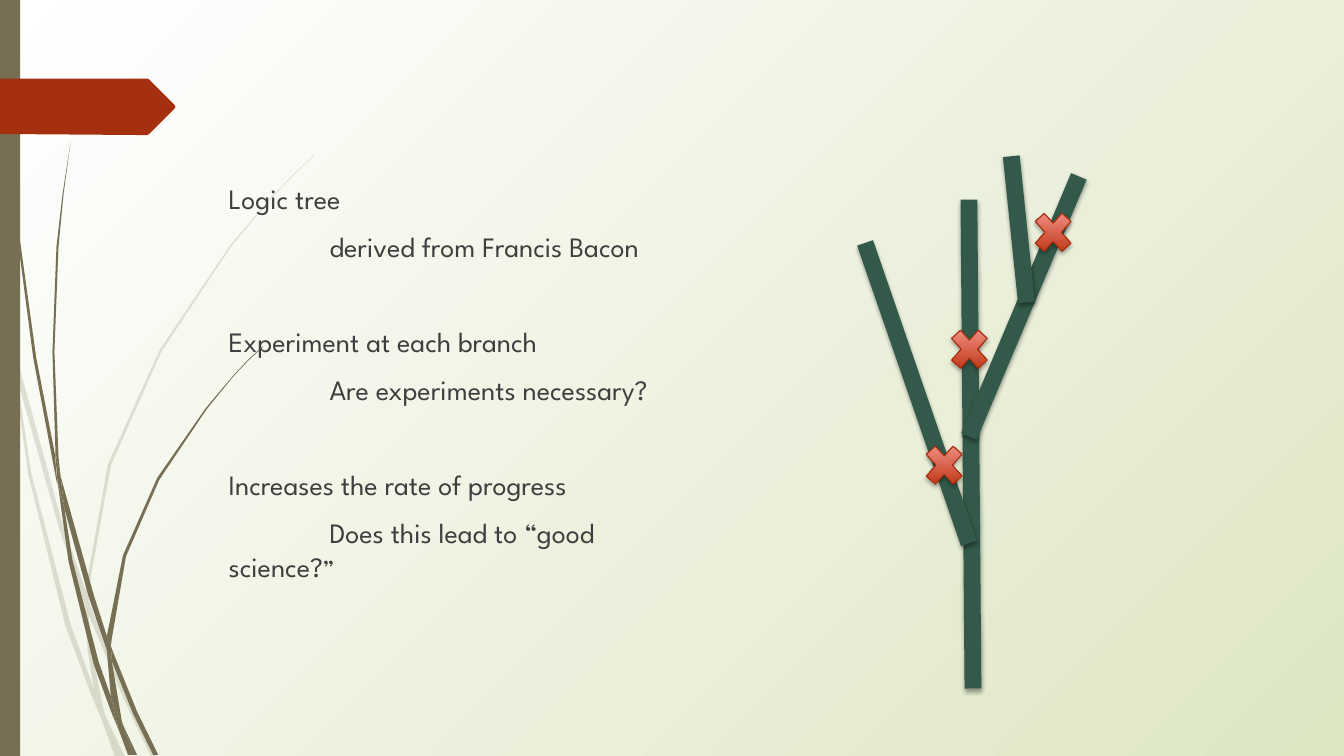
from pptx import Presentation
from pptx.dml.color import RGBColor
from pptx.enum.shapes import MSO_CONNECTOR, MSO_SHAPE
from pptx.oxml import parse_xml
from pptx.oxml.ns import nsdecls, qn
from pptx.util import Inches, Pt

PALE_WISPS = [
    [(0.11, 3.5), (0.09, 3.22), (0, 2.82), (0, 2.99), (0.1, 3.44)],
    [(0.58, 5.22), (0.84, 5.99), (0.85, 5.86), (0.62, 5.2), (0.14, 3.45), (0.17, 3.76)],
    [(0.92, 6.07), (0.88, 5.96), (0.88, 6.1), (1.23, 6.94), (1.5, 7.51), (1.55, 7.51),
     (1.27, 6.92)],
    [(1.19, 7.51), (1.24, 7.51), (1.05, 7.11)],
    [(0.93, 6.83), (0.7, 6.19), (0.31, 4.69), (0.17, 3.76), (0.11, 3.5), (0.28, 4.7),
     (0.65, 6.21), (0.92, 6.93), (1.01, 7.14), (0.99, 7.07)],
    [(0.84, 5.99), (0.87, 6.46), (0.93, 6.83), (0.96, 6.92), (1.05, 7.11), (1.03, 7.06),
     (0.91, 6.46), (0.88, 6.1), (0.88, 6.08)],
    [(0.88, 5.84), (1.1, 4.62), (1.6, 3.49), (2.29, 2.45), (2.68, 1.98), (2.9, 1.75),
     (3.12, 1.54), (3.12, 1.53), (2.89, 1.75), (2.68, 1.97), (2.28, 2.44), (1.58, 3.48),
     (1.07, 4.61), (0.85, 5.84), (0.85, 5.86), (0.88, 5.96)],
    [(1.01, 7.14), (1.14, 7.51), (1.19, 7.51)],
    [(0.88, 6.08), (0.88, 6.1), (0.88, 5.96), (0.85, 5.86), (0.84, 5.99)],
    [(0.96, 6.92), (0.93, 6.83), (0.99, 7.07), (1.01, 7.14), (1.19, 7.51), (1.05, 7.11)],
]
DARK_WISPS = [
    [(0.07, 1.1), (0.17, 2.33), (0.33, 3.55), (0.56, 4.77), (0.57, 4.81), (0.55, 4.57),
     (0.55, 4.53), (0.36, 3.55), (0.19, 2.32), (0.08, 1.09), (0.05, 0.48), (0.04, 0),
     (0.03, 0), (0.04, 0.48)],
    [(0.88, 5.92), (1.06, 6.45), (1.06, 6.31), (0.93, 5.9), (0.6, 4.72), (0.64, 5.05)],
    [(1.13, 6.49), (1.1, 6.41), (1.11, 6.56), (1.32, 7.08), (1.52, 7.49), (1.57, 7.49),
     (1.36, 7.06)],
    [(1.1, 6.91), (0.98, 6.57), (0.72, 5.56), (0.64, 5.05), (0.57, 4.77), (0.68, 5.57),
     (0.93, 6.59), (1.11, 7.08), (1.17, 7.22), (1.16, 7.17)],
    [(0.6, 4.72), (0.58, 4.53), (0.54, 3.49), (0.58, 2.45), (0.63, 1.93), (0.7, 1.41),
     (0.62, 1.93), (0.56, 2.45), (0.52, 3.49), (0.55, 4.49)],
    [(1.33, 7.49), (1.36, 7.49), (1.22, 7.19)],
    [(0.57, 4.77), (0.64, 5.05), (0.6, 4.72), (0.55, 4.49), (0.55, 4.53)],
    [(1.11, 6.33), (1.25, 5.52), (1.58, 4.76), (2.05, 4.06), (2.31, 3.74), (2.45, 3.59),
     (2.61, 3.44), (2.6, 3.44), (2.45, 3.58), (2.31, 3.73), (2.04, 4.05), (1.56, 4.74),
     (1.22, 5.51), (1.06, 6.31), (1.1, 6.41)],
    [(1.17, 7.22), (1.27, 7.49), (1.31, 7.49)],
    [(1.06, 6.45), (1.1, 6.91), (1.16, 7.06), (1.22, 7.19), (1.21, 7.16), (1.11, 6.56),
     (1.09, 6.51)],
    [(1.06, 6.45), (1.09, 6.51), (1.11, 6.56), (1.1, 6.41), (1.06, 6.31)],
    [(1.16, 7.06), (1.1, 6.91), (1.16, 7.17), (1.17, 7.22), (1.3, 7.49), (1.33, 7.49),
     (1.22, 7.19)],
]
TAG = [(1.73, 1.08), (1.48, 1.33), (1.46, 1.34), (1.36, 1.34), (0, 1.33), (0, 0.78),
       (1.46, 0.78), (1.48, 0.79), (1.73, 1.04), (1.74, 1.06)]
TOPICS = [
    ("Logic tree", "derived from Francis Bacon"),
    ("Experiment at each branch", "Are experiments necessary?"),
    ("Increases the rate of progress", "Does this lead to “good science?"),
]
BRANCHES = [
    (9.65, 6.83, 9.61, 1.98),
    (9.61, 5.39, 8.58, 2.41),
    (9.61, 4.33, 10.7, 1.75),
    (10.18, 3, 10.03, 1.55),
]
CROSSES = [(9.11, 4.33), (9.36, 3.18), (10.19, 2.02)]


def rgb(value):
    return RGBColor.from_string(value)


class LogicTreeSlide:
    """Holds the style and the current slide and draws each kind of element."""

    font = "League Spartan"
    ink = "3F3F3F"
    olive = "766F54"
    red = "A53010"
    green = "325949"
    cross_line = "A52D0C"

    def __init__(self, slide):
        self.slide = slide
        self.shapes = slide.shapes

    def gradient(self, fill, first, last):
        fill.gradient()
        for stop, color in zip(fill.gradient_stops, (first, last)):
            stop.color.rgb = rgb(color)

    def background(self, first, last):
        self.gradient(self.slide.background.fill, first, last)
        linear = next(self.slide.element.iter(qn("a:lin")))
        radial = parse_xml(
            f'<a:path {nsdecls("a")} path="circle"><a:fillToRect r="100000" b="100000"/></a:path>')
        linear.getparent().replace(linear, radial)

    def paint(self, shape, color, opacity=100):
        shape.shadow.inherit = False
        shape.fill.solid()
        shape.fill.fore_color.rgb = rgb(color)
        shape.line.fill.background()
        if opacity < 100:
            alpha = parse_xml(f'<a:alpha {nsdecls("a")} val="{opacity * 1000}"/>')
            next(shape.element.spPr.iter(qn("a:srgbClr"))).append(alpha)

    def outline(self, points, color, opacity=100):
        start, *rest = [(Inches(x), Inches(y)) for x, y in points]
        builder = self.shapes.build_freeform(*start)
        builder.add_line_segments(rest, close=True)
        self.paint(builder.convert_to_shape(), color, opacity)

    def bar(self, left, top, width, height, color):
        shape = self.shapes.add_shape(
            MSO_SHAPE.RECTANGLE, Inches(left), Inches(top), Inches(width), Inches(height))
        self.paint(shape, color)

    def drop_shadow(self, shape, opacity, distance):
        shape.element.spPr.append(parse_xml(
            f'<a:effectLst {nsdecls("a")}><a:outerShdw blurRad="{Pt(3.1)}" '
            f'dist="{Pt(distance)}" dir="5400000" rotWithShape="0"><a:srgbClr val="000000">'
            f'<a:alpha val="{opacity * 1000}"/></a:srgbClr></a:outerShdw></a:effectLst>'))

    def branch(self, *ends):
        line = self.shapes.add_connector(
            MSO_CONNECTOR.STRAIGHT, *[Inches(end) for end in ends])
        line.line.color.rgb = rgb(self.green)
        line.line.width = Pt(12)
        self.drop_shadow(line, 38, 1.6)

    def cross(self, left, top):
        shape = self.shapes.add_shape(
            MSO_SHAPE.MATH_MULTIPLY, Inches(left), Inches(top), Inches(0.51), Inches(0.57))
        self.gradient(shape.fill, "B52700", "FAA09B")
        shape.fill.gradient_angle = 90
        shape.line.color.rgb = rgb(self.cross_line)
        shape.line.width = Pt(0.75)
        self.drop_shadow(shape, 35, 1.8)

    def format_run(self, run, size=20):
        run.font.name = self.font
        run.font.size = Pt(size)
        run.font.color.rgb = rgb(self.ink)

    def topics(self, left, top, width, height, topics):
        box = self.shapes.add_textbox(Inches(left), Inches(top), Inches(width), Inches(height))
        frame = box.text_frame
        frame.word_wrap = True
        for number, (topic, detail) in enumerate(topics):
            heading = frame.add_paragraph() if number else frame.paragraphs[0]
            heading.text = topic
            heading.space_before = Pt(44.3 if number else 10)
            paragraph = frame.add_paragraph()
            paragraph.text = detail
            paragraph.space_before = Pt(10)
            paragraph._p.get_or_add_pPr().set("indent", str(Inches(1)))
            self.format_run(heading.runs[0])
            self.format_run(paragraph.runs[0])
        closing_quote = paragraph.add_run()
        closing_quote.text = "”"
        self.format_run(closing_quote, 18)


def main():
    presentation = Presentation()
    presentation.slide_width = Inches(13.33)
    presentation.slide_height = Inches(7.5)
    page = LogicTreeSlide(presentation.slides.add_slide(presentation.slide_layouts[6]))
    page.background("FFFFFF", "DDE6C3")
    for wisp in PALE_WISPS:
        page.outline(wisp, page.olive, 20)
    for wisp in DARK_WISPS:
        page.outline(wisp, page.olive)
    page.bar(0, 0, 0.2, 7.5, page.olive)
    page.outline(TAG, page.red)
    page.topics(2.17, 1.75, 4.5, 4.95, TOPICS)
    for ends in BRANCHES:
        page.branch(*ends)
    for position in CROSSES:
        page.cross(*position)
    presentation.save("out.pptx")


if __name__ == "__main__":
    main()
